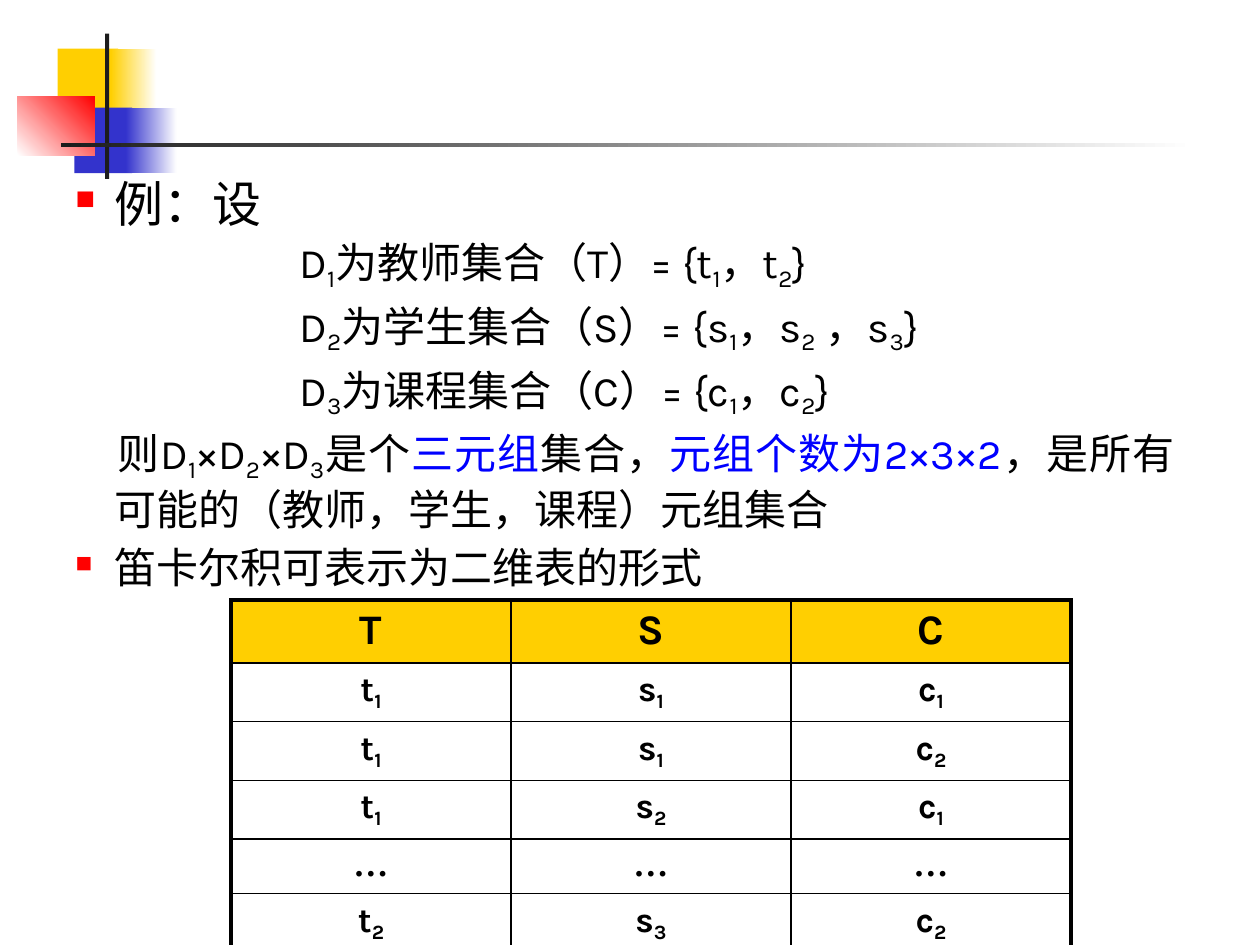
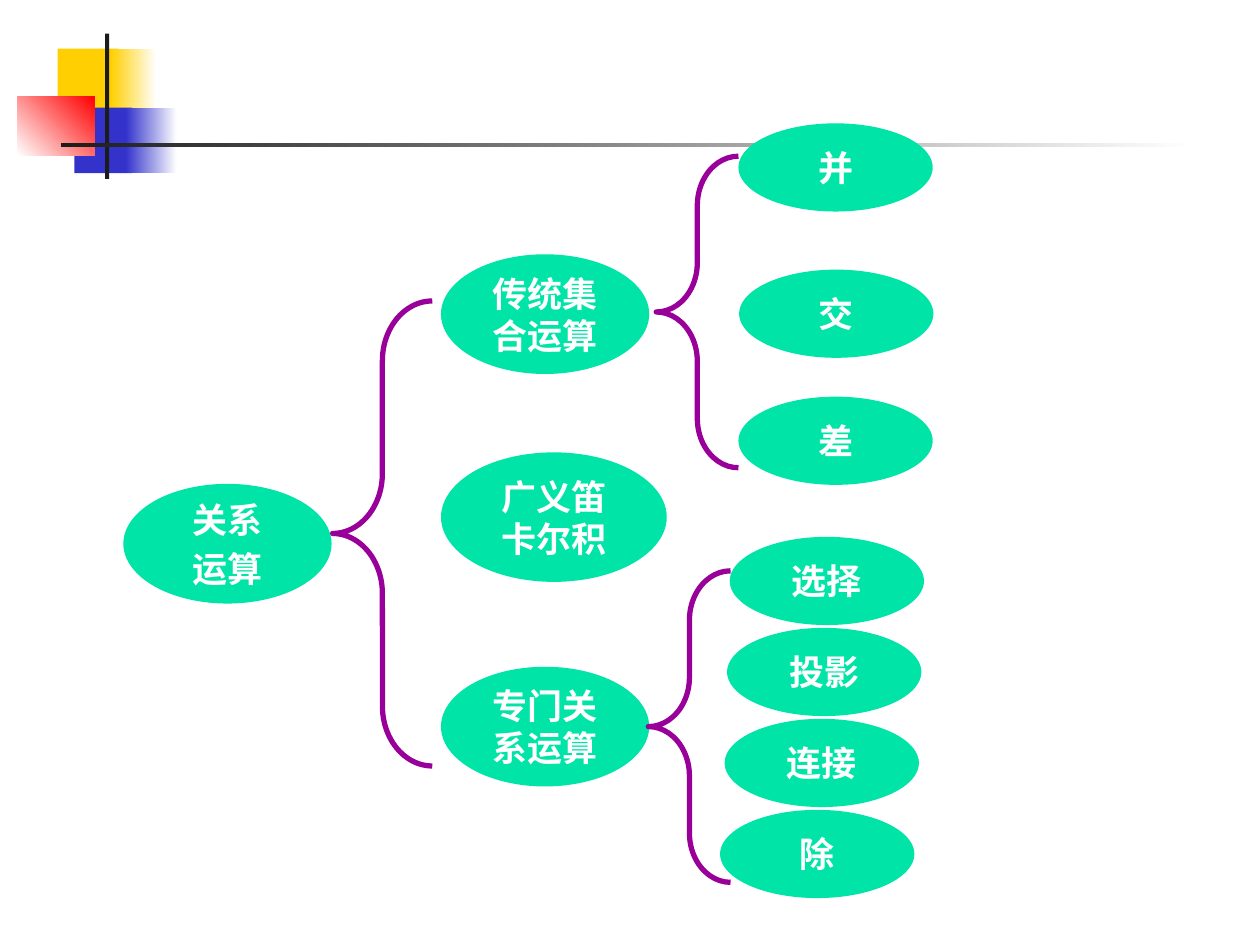
from dataclasses import dataclass

from lxml import etree
from pptx import Presentation
from pptx import util as u
from pptx.dml.color import RGBColor
from pptx.enum import shapes, text
from pptx.oxml.ns import qn


@dataclass(frozen=True)
class Theme:
    """Colours, fonts and type sizes of the deck."""
    yellow: str = "FFCF01"
    blue: str = "3333CC"
    red: str = "FF0000"
    rule: str = "1C1C1C"
    ink: str = "000000"
    white: str = "FFFFFF"
    accent: str = "0000FF"
    node: str = "00E4A8"
    brace: str = "990099"
    latin: str = "Karla"
    chinese: str = "Noto Sans CJK SC"
    dots: str = "Times New Roman"
    lead: int = 28
    body: int = 24
    cell: int = 20


@dataclass(frozen=True)
class Box:
    """A rectangle in points."""
    left: float
    top: float
    width: float
    height: float

    def inside(self, dx, dy, width, height):
        return Box(self.left + dx, self.top + dy, width, height)

    def lengths(self):
        return [u.Pt(v) for v in (self.left, self.top, self.width, self.height)]


THEME = Theme()
PAGE = Box(0, 0, 720, 540)
SHAPE = shapes.MSO_SHAPE
ALIGN = text.PP_ALIGN


def rgb(colour):
    return RGBColor.from_string(colour)


# Text helpers
def style(para, size, colour=THEME.ink, bold=False, font=THEME.latin):
    para.font.size = u.Pt(size)
    para.font.bold = bold
    para.font.color.rgb = rgb(colour)
    para.font.name = font
    defaults = para._p.pPr.find(qn("a:defRPr"))
    etree.SubElement(defaults, qn("a:ea"), typeface=THEME.latin)


def write(para, content):
    """Write content: _ lowers the next character, * switches the accent colour."""
    for index, part in enumerate(content.split("*")):
        first, *rest = part.split("_")
        pieces = [(first, False)]
        for piece in rest:
            pieces += [(piece[0], True), (piece[1:], False)]
        for words, lowered in pieces:
            if not words:
                continue
            span = para.add_run()
            span.text = words
            if lowered:
                span._r.get_or_add_rPr().set("baseline", "-20000")
            if index % 2:
                span.font.color.rgb = rgb(THEME.accent)


def indent(para, margin, first, bullet=False):
    props = para._p.get_or_add_pPr()
    props.set("marL", str(u.Pt(margin)))
    props.set("indent", str(u.Pt(first)))
    if bullet:
        colour = etree.SubElement(props, qn("a:buClr"))
        etree.SubElement(colour, qn("a:srgbClr"), val=THEME.red)
        etree.SubElement(props, qn("a:buSzPct"), val="55000")
        etree.SubElement(props, qn("a:buFont"), typeface="Wingdings")
        etree.SubElement(props, qn("a:buChar"), char="n")
    else:
        etree.SubElement(props, qn("a:buNone"))


# Shape helper
def add_shape(page, kind, box, fill=None):
    shape = page.shapes.add_shape(kind, *box.lengths())
    shape.shadow.inherit = False
    shape.line.fill.background()
    if fill:
        shape.fill.solid()
        shape.fill.fore_color.rgb = rgb(fill)
    else:
        shape.fill.background()
    return shape


# Corner squares and the two rules, on every slide
def draw_ornament(page, box):
    parts = [
        ((23, 8.5, 34.5, 37.5), (THEME.yellow,), 0),
        ((53.4, 8.5, 26, 37.5), (THEME.yellow, THEME.white), 0),
        ((32.5, 42.2, 33, 37.5), (THEME.blue,), 0),
        ((62, 42.2, 29, 37.5), (THEME.blue, THEME.white), 0),
        ((0, 36, 44.3, 33.5), (THEME.white, THEME.red), 45),
        ((50, 0, 2.4, 83), (THEME.rule,), 0),
        ((24.8, 62.2, 648, 2.5), (THEME.rule, THEME.white), 0),
    ]
    for place, colours, angle in parts:
        shape = add_shape(page, SHAPE.RECTANGLE, box.inside(*place), colours[0])
        if len(colours) > 1:
            shape.fill.gradient()
            shape.fill.gradient_angle = angle
            for stop, colour in zip(shape.fill.gradient_stops, colours):
                stop.color.rgb = rgb(colour)


# Worked example: text of the product of three sets
def draw_example(page, box):
    bullet, formula, flow = (58.5, -22.5, True), (164, 0), (58.5, 1.5)
    lines = [
        ("例：设", THEME.lead, bullet, 0),
        ("D_1为教师集合（T）= {t_1，t_2}", THEME.body, formula, 0.1),
        ("D_2为学生集合（S）= {s_1，s_2 ，s_3}", THEME.body, formula, 0.2),
        ("D_3为课程集合（C）= {c_1，c_2}", THEME.body, formula, 0.2),
        ("则D_1×D_2×D_3是个*三元组*集合，*元组个数为2×3×2*，"
         "是所有可能的（教师，学生，课程）元组集合", THEME.body, flow, 0.2),
        ("笛卡尔积可表示为二维表的形式", THEME.body, bullet, 0.2),
    ]
    frame = page.shapes.add_textbox(*box.lengths()).text_frame
    frame.word_wrap = True
    for index, (content, size, layout, gap) in enumerate(lines):
        para = frame.paragraphs[0] if index == 0 else frame.add_paragraph()
        para.alignment = ALIGN.JUSTIFY
        para.space_before = u.Pt(size * gap)
        indent(para, *layout)
        style(para, size)
        write(para, content)


# Table of tuples
def set_borders(cell, widths):
    props = cell._tc.get_or_add_tcPr()
    for index, (side, width) in enumerate(zip("LRTB", widths)):
        line = etree.Element(qn(f"a:ln{side}"), w=str(u.Pt(width)))
        fill = etree.SubElement(line, qn("a:solidFill"))
        etree.SubElement(fill, qn("a:srgbClr"), val=THEME.ink)
        props.insert(index, line)


def draw_tuples(page, box):
    rows = ["T S C", "t_1 s_1 c_1", "t_1 s_1 c_2", "t_1 s_2 c_1",
            "… … …", "t_2 s_3 c_2"]
    rows = [row.split() for row in rows]
    last_row, last_column = len(rows) - 1, len(rows[0]) - 1
    header = 36
    table = page.shapes.add_table(len(rows), len(rows[0]), *box.lengths()).table
    table.first_row = table.horz_banding = False
    for column in table.columns:
        column.width = u.Pt(box.width / len(rows[0]))
    for r, row in enumerate(rows):
        table.rows[r].height = u.Pt((box.height - header) / last_row if r else header)
        for c, content in enumerate(row):
            cell = table.cell(r, c)
            if r:
                cell.fill.background()
            else:
                cell.fill.solid()
                cell.fill.fore_color.rgb = rgb(THEME.yellow)
            outer = (c == 0, c == last_column, r == 0, r == last_row)
            set_borders(cell, [2.25 if edge else 1 for edge in outer])
            para = cell.text_frame.paragraphs[0]
            para.alignment = ALIGN.CENTER
            style(para, THEME.cell if r else THEME.body, bold=True,
                  font=THEME.dots if content == "…" else THEME.latin)
            write(para, content)


# Tree of relational operations
def draw_node(page, box, *lines):
    frame = add_shape(page, SHAPE.OVAL, box, THEME.node).text_frame
    frame.word_wrap = True
    frame.vertical_anchor = text.MSO_ANCHOR.MIDDLE
    for index, line in enumerate(lines):
        para = frame.paragraphs[0] if index == 0 else frame.add_paragraph()
        para.alignment = ALIGN.CENTER
        para.space_before = u.Pt(THEME.cell * 0.2 if index else 0)
        style(para, THEME.cell, THEME.white, True, THEME.chinese)
        write(para, line)


def draw_brace(page, box):
    brace = add_shape(page, SHAPE.LEFT_BRACE, box)
    brace.adjustments[0] = 0.6
    brace.line.color.rgb = rgb(THEME.brace)
    brace.line.width = u.Pt(3)


def draw_leaves(page, box, leaves):
    """A brace at the left of the box and small nodes beside it."""
    draw_brace(page, box.inside(0, 0, 47, box.height))
    for name, dx, dy in leaves:
        draw_node(page, box.inside(dx, dy, 111, 50.4), name)


def draw_tree(page, box):
    draw_brace(page, box.inside(119.5, 101.5, 57, 265.7))
    draw_node(page, box.inside(0, 206, 119, 68.4), "关系", "运算")
    for name, dy, width, height in [("传统集合运算", 74.8, 119, 68.4),
                                    ("广义笛卡尔积", 188, 129, 74),
                                    ("专门关系运算", 310.5, 119, 68.4)]:
        draw_node(page, box.inside(181.5, dy, width, height), name)
    draw_leaves(page, box.inside(304.5, 18.8, 158, 178),
                [("并", 47, -18.8), ("交", 47.4, 64.8), ("差", 47, 137.4)])
    special = zip(("选择", "投影", "连接", "除"), (46.5, 45, 43.6, 41))
    draw_leaves(page, box.inside(300, 255.7, 158, 178),
                [(name, dx, -19.4 + 52 * i) for i, (name, dx) in enumerate(special)])


def main():
    deck = Presentation()
    deck.slide_width, deck.slide_height = u.Pt(PAGE.width), u.Pt(PAGE.height)
    regions = [
        [(draw_example, Box(0, 95.8, 678, 246)), (draw_tuples, Box(132, 342.8, 480, 192))],
        [(draw_tree, Box(70.5, 70.5, 465, 444))],
    ]
    for parts in regions:
        page = deck.slides.add_slide(deck.slide_layouts[6])
        draw_ornament(page, PAGE.inside(10, 19.3, 673, 83))
        for draw, box in parts:
            draw(page, box)
    deck.save("out.pptx")


if __name__ == "__main__":
    main()
